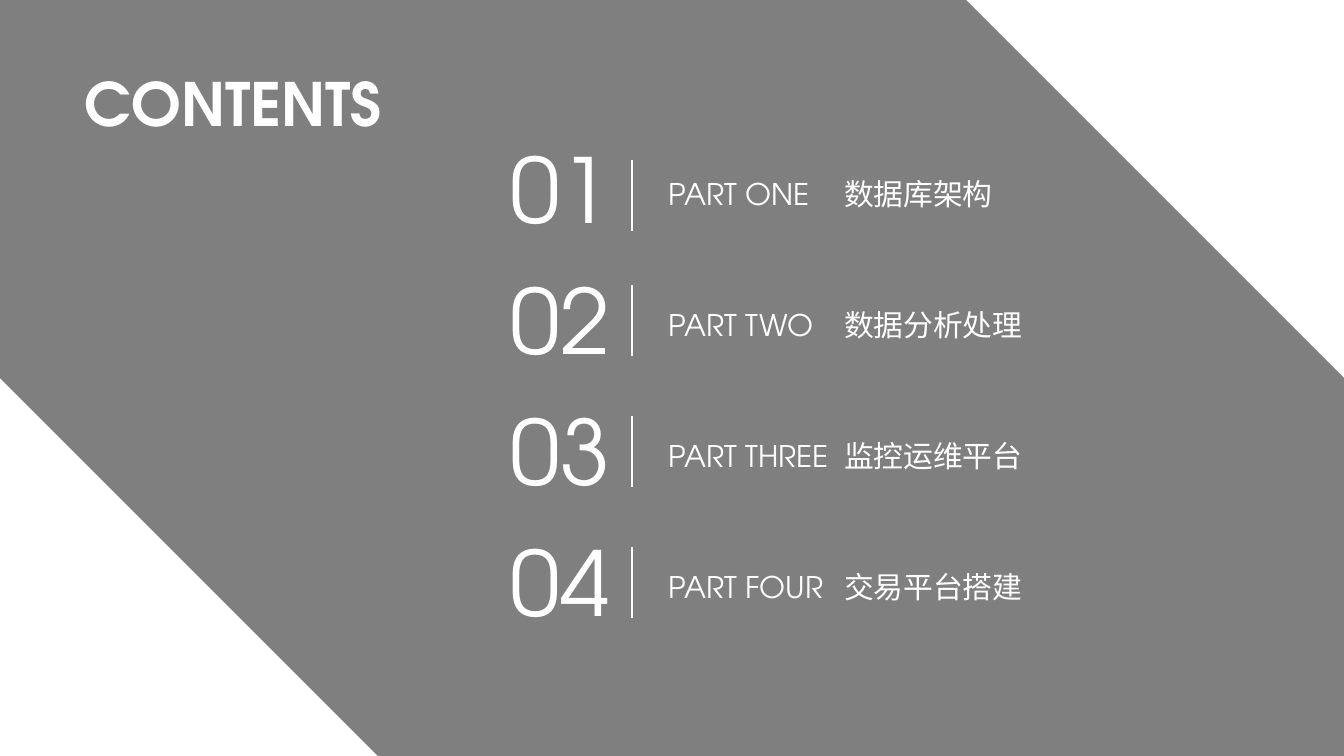
from dataclasses import dataclass

from lxml.etree import SubElement
from pptx import Presentation
from pptx.dml.color import RGBColor
from pptx.enum.shapes import MSO_CONNECTOR, MSO_SHAPE
from pptx.enum.text import MSO_AUTO_SIZE as AutoSize
from pptx.oxml.ns import qn
from pptx.util import Cm, Pt


@dataclass(frozen=True)
class Theme:
    font: str = "TeX Gyre Adventor"
    ink: RGBColor = RGBColor(0xFF, 0xFF, 0xFF)
    panel: RGBColor = RGBColor(0x00, 0x00, 0x00)
    panel_alpha: int = 50  # percent
    title_size: float = 42.7
    number_size: float = 64
    label_size: float = 21.3
    label_spacing: float = 1.3
    rule_width: float = 1


THEME = Theme()
WIDTH, HEIGHT = 33.88, 19.05
ROW_TOP, ROW_STEP = 4.04, 3.3
RULE_X, RULE_HEIGHT = 15.93, 1.78

# Label, topic, and how far the divider starts from the row top
PARTS = [
    ("PART ONE", "数据库架构", 0),
    ("PART TWO", "数据分析处理", -0.15),
    ("PART THREE", "监控运维平台", -0.15),
    ("PART FOUR", "交易平台搭建", -0.15),
]


def add_panel(page):
    panel = page.shapes.add_shape(
        MSO_SHAPE.SNIP_2_DIAG_RECTANGLE, 0, 0, Cm(WIDTH), Cm(HEIGHT))
    panel.adjustments[0] = 0
    panel.adjustments[1] = 0.5
    panel.shadow.inherit = False
    panel.line.fill.background()
    panel.fill.solid()
    panel.fill.fore_color.rgb = THEME.panel
    # Transparency
    color = panel.fill._xPr.find(qn("a:solidFill"))[0]
    SubElement(color, qn("a:alpha"), val=str(THEME.panel_alpha * 1000))


def add_text(page, text, left, top, width, height, size,
             bold=False, spacing=None, wrap=False):
    box = page.shapes.add_textbox(Cm(left), Cm(top), Cm(width), Cm(height))
    frame = box.text_frame
    frame.word_wrap = wrap
    frame.auto_size = AutoSize.SHAPE_TO_FIT_TEXT
    para = frame.paragraphs[0]
    para.text = text
    para.line_spacing = spacing
    para.font.name = THEME.font
    para.font.size = Pt(size)
    para.font.bold = bold
    para.font.color.rgb = THEME.ink


def add_rule(page, top):
    rule = page.shapes.add_connector(
        MSO_CONNECTOR.STRAIGHT,
        Cm(RULE_X), Cm(top), Cm(RULE_X), Cm(top + RULE_HEIGHT))
    rule.line.color.rgb = THEME.ink
    rule.line.width = Pt(THEME.rule_width)
    SubElement(rule._element.spPr, qn("a:effectLst"))


def add_part(page, index, label, topic, rule_shift):
    top = ROW_TOP + index * ROW_STEP
    add_text(page, f"{index + 1:02}", 12.62, top - 0.79, 3.05, 3,
             THEME.number_size)
    add_rule(page, top + rule_shift)
    add_text(page, label, 16.61, top, 5.38, 1.45, THEME.label_size,
             spacing=THEME.label_spacing, wrap=True)
    add_text(page, topic, 21.03, top, 0.55 + 0.75 * len(topic), 1.32,
             THEME.label_size, spacing=THEME.label_spacing)


def main():
    deck = Presentation()
    deck.slide_width, deck.slide_height = Cm(WIDTH), Cm(HEIGHT)
    page = deck.slides.add_slide(deck.slide_layouts[6])

    # Background panel and title
    add_panel(page)
    add_text(page, "CONTENTS", 1.88, 1.57, 8.08, 2.08, THEME.title_size,
             bold=True)

    # Numbered parts
    for index, (label, topic, rule_shift) in enumerate(PARTS):
        add_part(page, index, label, topic, rule_shift)

    deck.save("out.pptx")


if __name__ == "__main__":
    main()
